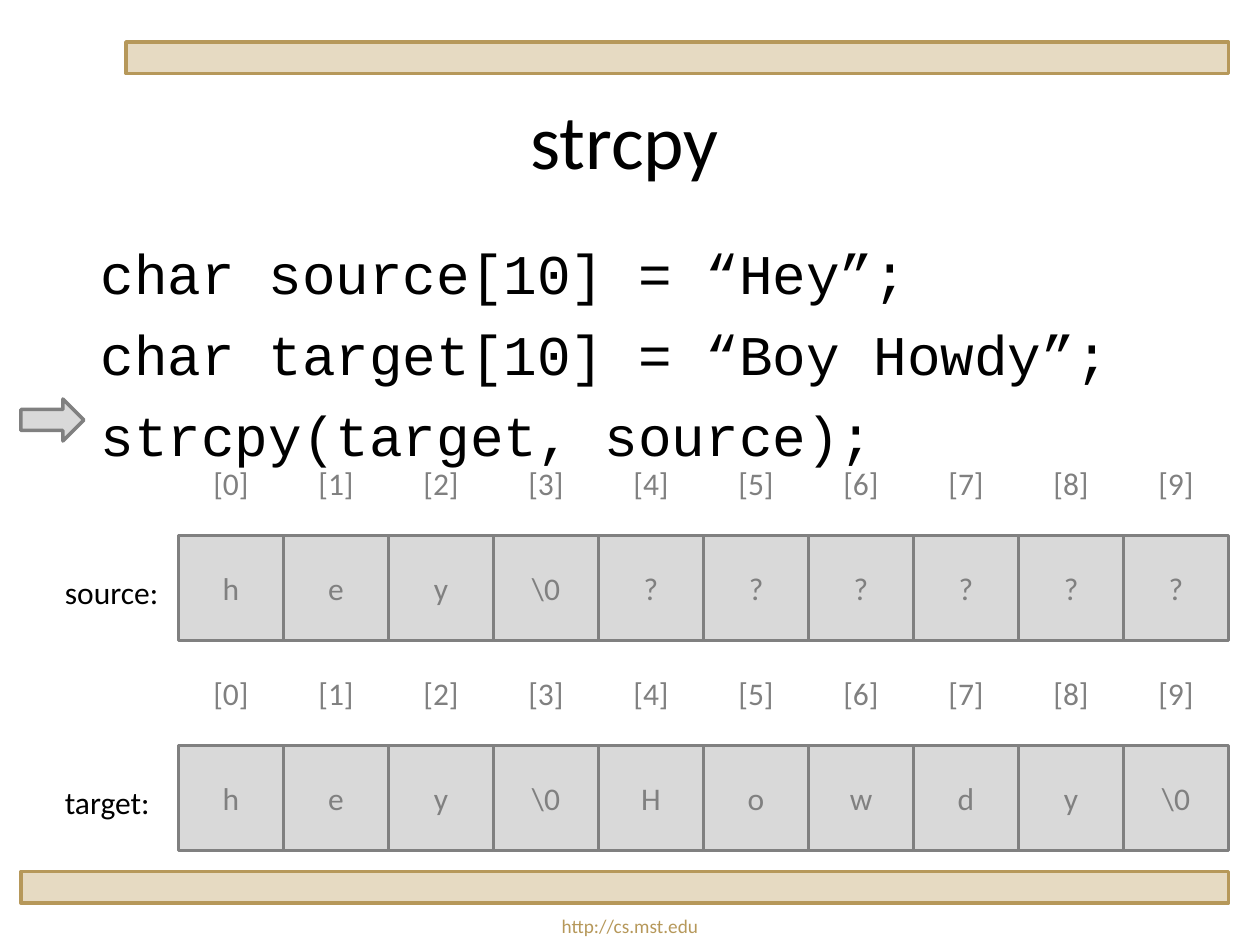
from pptx import Presentation
from pptx.dml.color import RGBColor
from pptx.enum.shapes import MSO_SHAPE
from pptx.enum.text import MSO_ANCHOR, MSO_AUTO_SIZE, PP_ALIGN
from pptx.util import Inches, Pt

RECT, ARROW = MSO_SHAPE.RECTANGLE, MSO_SHAPE.RIGHT_ARROW
TOP, MIDDLE = MSO_ANCHOR.TOP, MSO_ANCHOR.MIDDLE
LEFT, CENTER = PP_ALIGN.LEFT, PP_ALIGN.CENTER
FIXED, GROW = MSO_AUTO_SIZE.NONE, MSO_AUTO_SIZE.SHAPE_TO_FIT_TEXT

BLACK = RGBColor(0x00, 0x00, 0x00)
GRAY = RGBColor(0x80, 0x80, 0x80)
LIGHT_GRAY = RGBColor(0xD9, 0xD9, 0xD9)
GOLD = RGBColor(0xB6, 0x98, 0x5A)
SAND = RGBColor(0xE6, 0xDA, 0xC2)

deck = Presentation()
deck.slide_width, deck.slide_height = Inches(10), Inches(7.5)
slide = deck.slides.add_slide(deck.slide_layouts[5])
GRID = deck.slide_width // 120
MARGIN, CELL, FIRST_CELL = 2, 10, 17


def block(kind, column, row, columns, rows, fill, edge):
    shape = slide.shapes.add_shape(
        kind, *(int(n * GRID) for n in (column, row, columns, rows)))
    shape.shadow.inherit = False
    shape.fill.solid()
    shape.fill.fore_color.rgb = fill
    shape.line.color.rgb = edge
    shape.line.width = Pt(2)
    return shape


def write(holder, lines, size, color, font="Calibri", align=CENTER,
          gap=0, **frame_format):
    frame = holder.text_frame
    frame_settings = {"word_wrap": True, "auto_size": FIXED,
                      "vertical_anchor": MIDDLE, **frame_format}
    for name, value in frame_settings.items():
        setattr(frame, name, value)
    frame.text = "\n".join(lines)
    for number, paragraph in enumerate(frame.paragraphs):
        paragraph.alignment = align
        paragraph.space_before = Pt(gap if number else 0)
        for name, value in {"name": font, "size": Pt(size)}.items():
            setattr(paragraph.font, name, value)
        paragraph.font.color.rgb = color


block(RECT, 12, 4, 105, 3, SAND, GOLD)
block(RECT, MARGIN, 83, 115, 3, SAND, GOLD)

address = slide.shapes.add_textbox(0, int(86.5 * GRID), 120 * GRID, int(3.5 * GRID))
write(address, ["http://cs.mst.edu"], 11, GOLD,
      vertical_anchor=TOP, auto_size=GROW)

title = slide.shapes.title
title_place = {"left": MARGIN * GRID, "top": 8 * GRID,
               "width": 115 * GRID, "height": int(10.5 * GRID)}
for name, value in title_place.items():
    setattr(title, name, value)
write(title, ["strcpy"], 44, BLACK)

code = slide.shapes.add_textbox(MARGIN * GRID, 21 * GRID, 115 * GRID, int(59.4 * GRID))
code_lines = ["  char source[10] = “Hey”;",
              "  char target[10] = “Boy Howdy”;",
              "  strcpy(target, source);"]
write(code, code_lines, 32, BLACK, font="Courier New", align=LEFT, gap=8,
      vertical_anchor=TOP, margin_top=Inches(0.14))

block(ARROW, MARGIN, 38, 6, 4, LIGHT_GRAY, GRAY)

arrays = [
    ("source:", 51, 11.4, ["h", "e", "y", "\\0"] + ["?"] * 6),
    ("target:", 71, 10.6, ["h", "e", "y", "\\0", "H", "o", "w", "d", "y", "\\0"]),
]
for label, row, label_width, characters in arrays:
    for index, character in enumerate(characters):
        column = FIRST_CELL + index * CELL
        cell = block(RECT, column, row, CELL, CELL, LIGHT_GRAY, GRAY)
        write(cell, [character], 18, GRAY)
        subscript = slide.shapes.add_textbox(
            column * GRID, (row - CELL) * GRID, CELL * GRID, CELL * GRID)
        write(subscript, [f"[{index}]"], 18, GRAY)
    array_name = slide.shapes.add_textbox(
        5 * GRID, (row + 3) * GRID, int(label_width * GRID), int(4.8 * GRID))
    write(array_name, [label], 18, BLACK, align=LEFT,
          vertical_anchor=TOP, word_wrap=False, auto_size=GROW)

deck.save("out.pptx")
